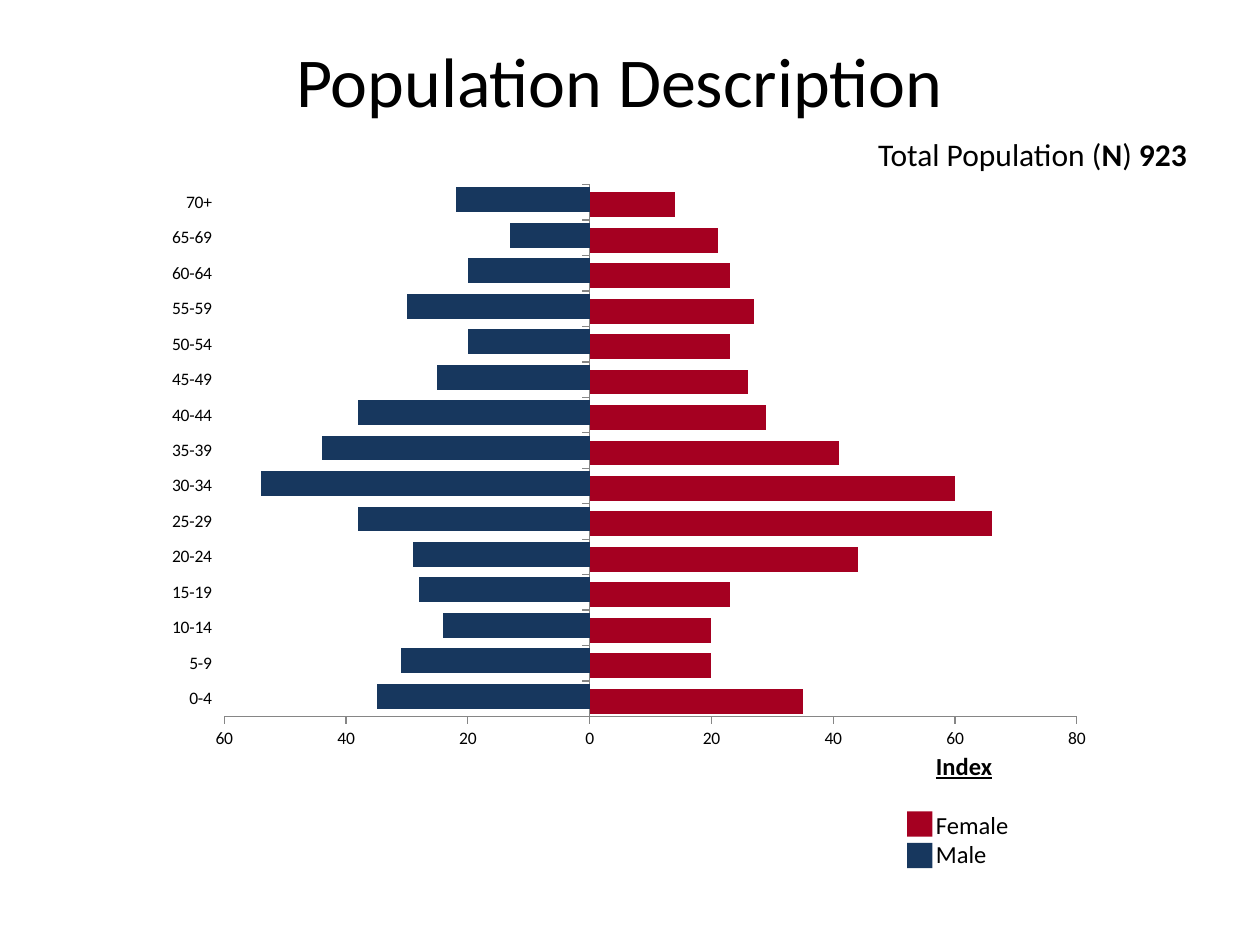
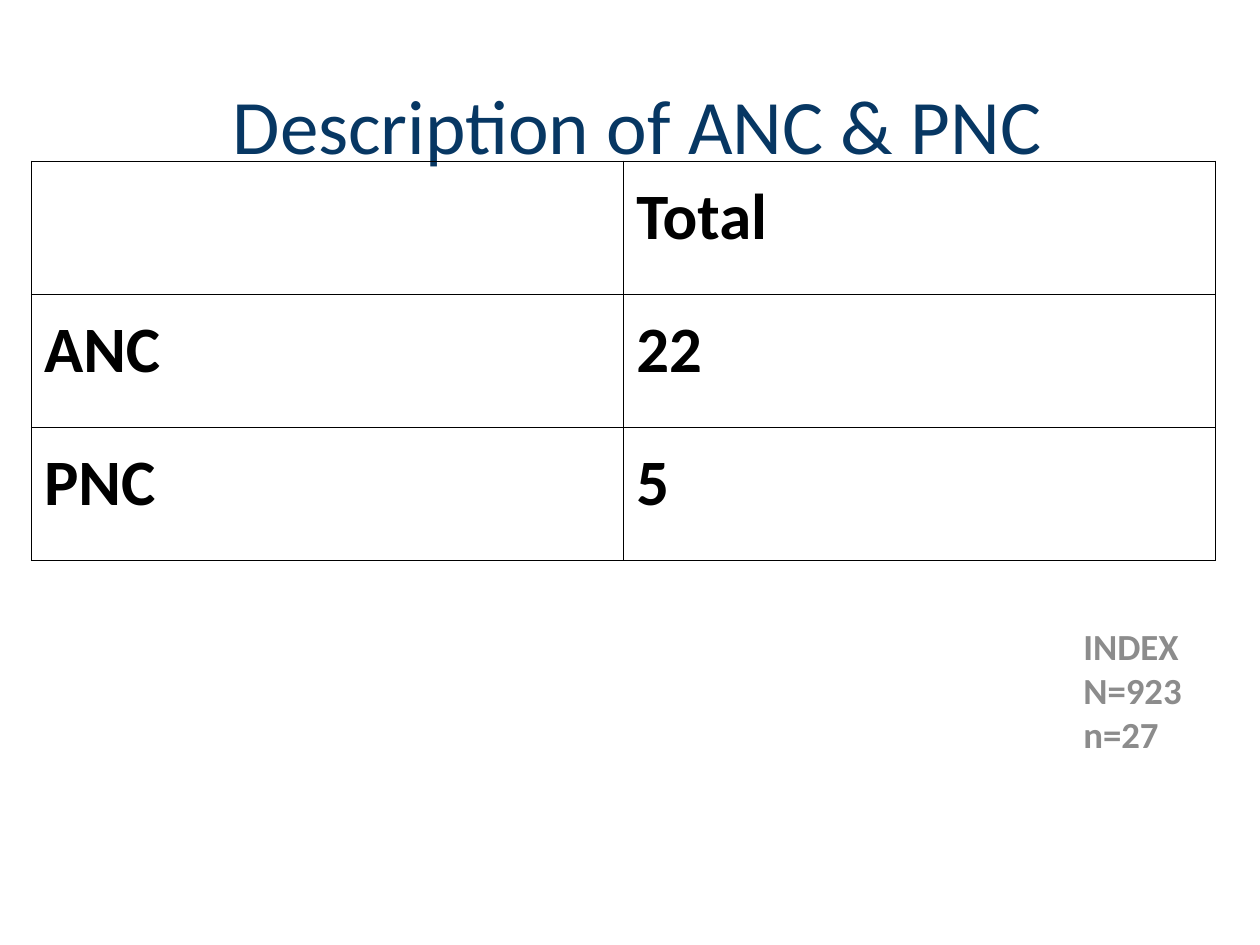
from lxml import etree
from pptx import Presentation
from pptx.chart.data import CategoryChartData
from pptx.dml.color import RGBColor
from pptx.enum.chart import XL_CHART_TYPE, XL_TICK_LABEL_POSITION, XL_TICK_MARK
from pptx.enum.shapes import MSO_SHAPE
from pptx.enum.text import MSO_ANCHOR, MSO_AUTO_SIZE, PP_ALIGN
from pptx.oxml.ns import qn
from pptx.util import Inches, Pt

FONT = "Calibri"
BLACK = RGBColor(0x00, 0x00, 0x00)
NAVY = RGBColor(0x17, 0x37, 0x5E)
TITLE_BLUE = RGBColor(0x07, 0x37, 0x63)
CRIMSON = RGBColor(0xA5, 0x00, 0x21)
GREY = RGBColor(0x8C, 0x8C, 0x8C)
AXIS_GREY = RGBColor(0x86, 0x86, 0x86)

TITLE_ONLY = 5
CENTER, LEFT = PP_ALIGN.CENTER, PP_ALIGN.LEFT
TOP, BOTTOM = MSO_ANCHOR.TOP, MSO_ANCHOR.BOTTOM
NO_AUTOFIT = MSO_AUTO_SIZE.NONE
RECTANGLE = MSO_SHAPE.RECTANGLE
BAR_CLUSTERED = XL_CHART_TYPE.BAR_CLUSTERED
LABELS_LOW = XL_TICK_LABEL_POSITION.LOW
TICK_OUTSIDE, TICK_NONE = XL_TICK_MARK.OUTSIDE, XL_TICK_MARK.NONE

AGE_GROUPS = [f"{age}-{age + 4}" for age in range(0, 70, 5)] + ["70+"]
FEMALE = [35, 20, 20, 23, 44, 66, 60, 41, 29, 26, 23, 27, 23, 21, 14]
MALE = [35, 31, 24, 28, 29, 38, 54, 44, 38, 25, 20, 30, 20, 13, 22]


def lengths(*values):
    return [Inches(value) for value in values]


class DeckBuilder:
    """Holds the deck, its text style and the slide being built."""

    def __init__(self):
        self.deck = Presentation()
        self.deck.slide_width, self.deck.slide_height = lengths(10, 7.5)
        self.page = None

    def style(self, paragraph, size, color=BLACK, bold=False, align=LEFT):
        paragraph.alignment = align
        font = paragraph.font
        font.name, font.size, font.bold = FONT, Pt(size), bold
        font.color.rgb = color

    def set_margins(self, target, horizontal, vertical):
        target.margin_left = target.margin_right = Inches(horizontal)
        target.margin_top = target.margin_bottom = Inches(vertical)

    def add_page(self, title, place, size, color, anchor, vertical_margin):
        self.page = self.deck.slides.add_slide(self.deck.slide_layouts[TITLE_ONLY])
        box = self.page.shapes.title
        box.left, box.top, box.width, box.height = lengths(*place)
        frame = box.text_frame
        frame.text = title
        frame.word_wrap = True
        frame.auto_size = NO_AUTOFIT
        frame.vertical_anchor = anchor
        self.set_margins(frame, 0.1, vertical_margin)
        self.style(frame.paragraphs[0], size, color, align=CENTER)

    def add_text(self, lines, place, size, color=BLACK, bold=False,
                 vertical_margin=0.05, wrap=True):
        """Add a text box and return its paragraphs; a line is a list of (text, bold) spans or a string."""
        frame = self.page.shapes.add_textbox(*lengths(*place)).text_frame
        frame.word_wrap = wrap
        self.set_margins(frame, 0.1, vertical_margin)
        for number, line in enumerate(lines):
            paragraph = frame.add_paragraph() if number else frame.paragraphs[0]
            self.style(paragraph, size, color, bold)
            if isinstance(line, str):
                paragraph.add_run().text = line
                continue
            for text, span_bold in line:
                span = paragraph.add_run()
                span.text, span.font.bold = text, span_bold
        return frame.paragraphs

    def add_swatch(self, left, top, side, color):
        swatch = self.page.shapes.add_shape(RECTANGLE, *lengths(left, top, side, side))
        swatch.shadow.inherit = False
        swatch.fill.solid()
        swatch.fill.fore_color.rgb = color
        swatch.line.fill.background()

    def add_pyramid(self, categories, series, place, plot_area):
        """Add a bar chart from (name, values, color) series, some of them negative."""
        data = CategoryChartData()
        data.categories = categories
        for name, values, _ in series:
            data.add_series(name, values)
        chart = self.page.shapes.add_chart(BAR_CLUSTERED, *lengths(*place), data).chart
        chart.has_legend = chart.has_title = False
        chart.font.name, chart.font.size = FONT, Pt(10)
        chart.font.color.rgb = BLACK

        plot = chart.plots[0]
        plot.gap_width, plot.overlap, plot.vary_by_categories = 23, 80, False
        for bars, (_, _, color) in zip(plot.series, series):
            bars.invert_if_negative = False
            bars.format.fill.solid()
            bars.format.fill.fore_color.rgb = color

        for axis in (chart.category_axis, chart.value_axis):
            axis.has_major_gridlines = False
            axis.major_tick_mark, axis.minor_tick_mark = TICK_OUTSIDE, TICK_NONE
            axis.tick_label_position = LABELS_LOW
            axis.format.line.color.rgb = AXIS_GREY
            axis.format.line.width = Pt(0.75)
        scale = chart.value_axis
        scale.minimum_scale, scale.maximum_scale, scale.major_unit = -60, 80, 20
        scale.tick_labels.number_format = "#,##0;#,##0"
        scale.tick_labels.number_format_is_linked = False
        self.place_plot(chart, plot_area)

    def place_plot(self, chart, plot_area):
        area = chart.plots[0]._element.getparent()
        for old_layout in area.findall(qn("c:layout")):
            area.remove(old_layout)
        layout = etree.Element(qn("c:layout"))
        area.insert(0, layout)
        manual = etree.SubElement(layout, qn("c:manualLayout"))
        settings = [("layoutTarget", "inner"), ("xMode", "edge"), ("yMode", "edge")]
        settings += zip("xywh", plot_area)
        for tag, value in settings:
            etree.SubElement(manual, qn(f"c:{tag}")).set("val", str(value))

    def add_table(self, rows, place, size):
        shape = self.page.shapes.add_table(len(rows), len(rows[0]), *lengths(*place))
        table = shape.table
        table.first_row = table.horz_banding = False
        for row_number, row in enumerate(rows):
            for column_number, text in enumerate(row):
                cell = table.cell(row_number, column_number)
                self.set_margins(cell, 0.1, 0.13)
                cell.fill.background()
                self.add_borders(cell)
                paragraph = cell.text_frame.paragraphs[0]
                if text:
                    paragraph.add_run().text = text
                self.style(paragraph, size, bold=True)

    def add_borders(self, cell):
        properties = cell._tc.get_or_add_tcPr()
        for position, side in enumerate("LRTB"):
            line = etree.Element(qn(f"a:ln{side}"), w=str(Pt(0.75)))
            fill = etree.SubElement(line, qn("a:solidFill"))
            etree.SubElement(fill, qn("a:srgbClr")).set("val", str(BLACK))
            properties.insert(position, line)


def build_population(builder):
    builder.add_page("Population Description", (2, 0.25, 5.83, 1.45), 40, BLACK, TOP, 0.05)
    legend = builder.add_text(["Index", "Female", "Male"], (7.33, 5.91, 2.67, 1.04), 14)
    legend[0].font.bold = legend[0].font.underline = True
    legend[1].space_before = Pt(17)
    for number, color in enumerate((CRIMSON, NAVY)):
        builder.add_swatch(7.2, 6.44 + 0.25 * number, 0.2, color)
    series = [("Female", FEMALE, CRIMSON), ("Male", [-count for count in MALE], NAVY)]
    builder.add_pyramid(AGE_GROUPS, series, (1.29, 1.46, 7.42, 4.58),
                        (0.066, 0.001, 0.912, 0.922))
    total = [("Total Population (", False), ("N", True), (") ", False), ("923", True)]
    builder.add_text([total], (6.87, 1.02, 2.68, 0.4), 18, wrap=False)


def build_care(builder):
    builder.add_page("Description of ANC & PNC", (0.4, 0.49, 9.32, 0.96), 44,
                     TITLE_BLUE, BOTTOM, 0.1)
    builder.add_text(["INDEX", "N=923", "n=27"], (8.5, 4.85, 1.16, 2.49), 21, GREY,
                     bold=True, vertical_margin=0.1)
    builder.add_table([("", "Total"), ("ANC", "22"), ("PNC", "5")],
                      (0.25, 1.28, 9.4, 3.17), 37)


def main():
    builder = DeckBuilder()
    build_population(builder)
    build_care(builder)
    builder.deck.save("out.pptx")


if __name__ == "__main__":
    main()
